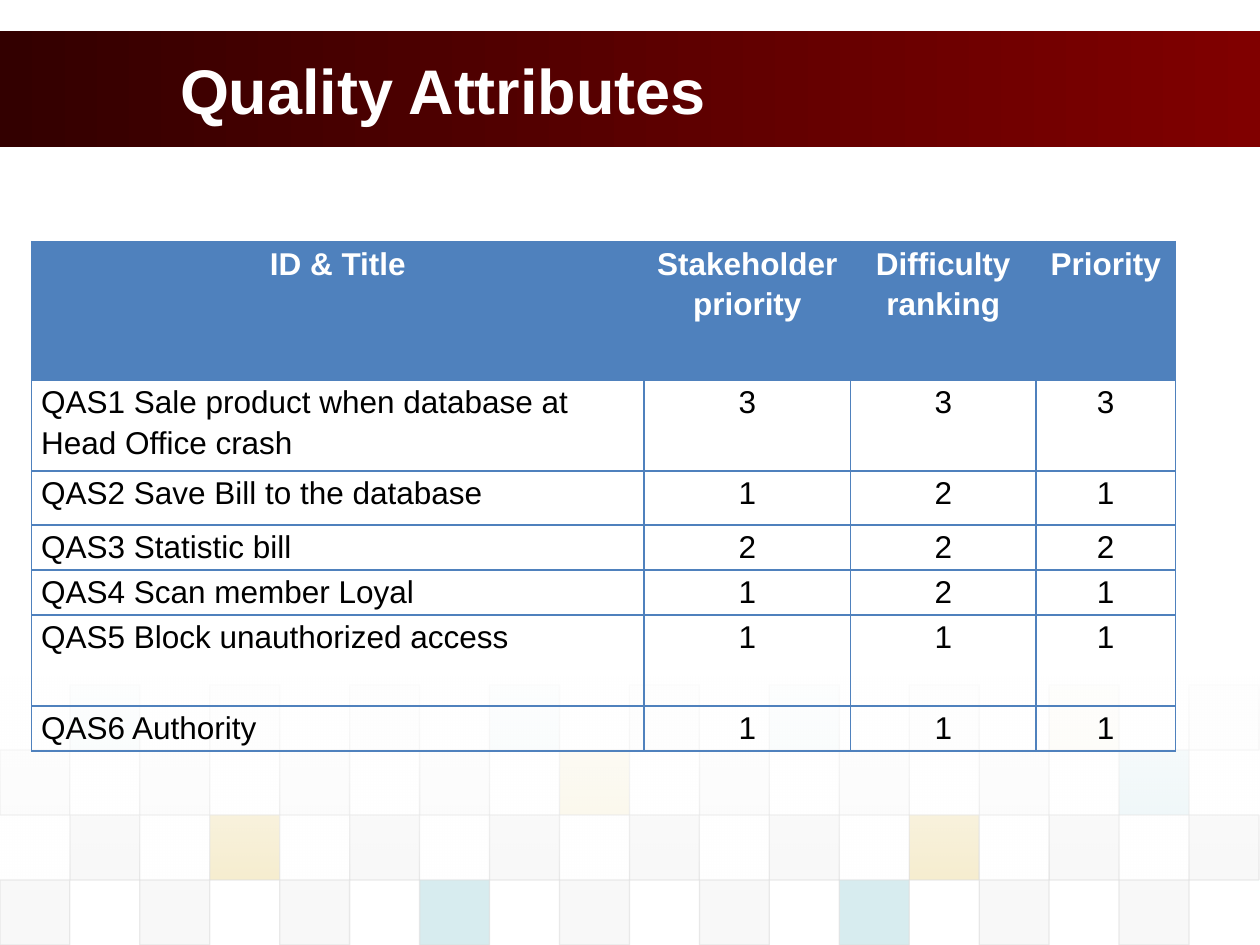
from lxml import etree
from pptx import Presentation
from pptx.dml.color import RGBColor
from pptx.enum.shapes import MSO_SHAPE
from pptx.enum.text import MSO_ANCHOR, PP_ALIGN
from pptx.oxml.ns import qn
from pptx.util import Cm, Pt

RECT = MSO_SHAPE.RECTANGLE
MIDDLE = MSO_ANCHOR.MIDDLE
LEFT, CENTER = PP_ALIGN.LEFT, PP_ALIGN.CENTER

WHITE = RGBColor(0xFF, 0xFF, 0xFF)
BLACK = RGBColor(0x00, 0x00, 0x00)
DARK_RED = RGBColor(0x33, 0x00, 0x00)
RED = RGBColor(0x80, 0x00, 0x00)
BLUE = RGBColor(0x4F, 0x81, 0xBD)
GREY = RGBColor(0xDD, 0xDD, 0xDD)
PALE = RGBColor(0xEA, 0xEA, 0xEA)
GOLD = RGBColor(0xD3, 0xA9, 0x11)
TEAL = RGBColor(0x38, 0xA3, 0xB2)

# Tile pattern: first column, opacity, colours of every second column
TILE_WIDTH, TILE_HEIGHT, TILE_TOP = 1.41, 1.31, 13.81
TILE_ROWS = [
    (1, 5, [TEAL, PALE, PALE, TEAL, GREY, TEAL, PALE, GOLD, PALE]),
    (0, 10, [GREY, GREY, GREY, GREY, GOLD, GREY, GREY, GREY, TEAL]),
    (1, 20, [GREY, GOLD, GREY, GREY, GREY, GREY, GOLD, GREY, GREY]),
    (0, 20, [GREY, GREY, GREY, TEAL, GREY, GREY, TEAL, GREY, GREY]),
]

COLUMN_WIDTHS = [12.34, 4.17, 3.73, 2.82]
ROW_HEIGHTS = [2.79, 1.83, 1.09, 0.91, 0.91, 1.83, 0.91]
RATINGS = [
    ("ID & Title", "Stakeholder priority", "Difficulty ranking", "Priority"),
    ("QAS1 Sale product when database at Head Office crash", "3", "3", "3"),
    ("QAS2 Save Bill to the database", "1", "2", "1"),
    ("QAS3 Statistic bill", "2", "2", "2"),
    ("QAS4 Scan member Loyal", "1", "2", "1"),
    ("QAS5 Block unauthorized access", "1", "1", "1"),
    ("QAS6 Authority", "1", "1", "1"),
]


class SlideBuilder:
    font_name = "Arial"
    cell_inset = Cm(0.19)

    def __init__(self, page):
        self.page = page

    def rectangle(self, left, top, width, height):
        shape = self.page.shapes.add_shape(
            RECT, Cm(left), Cm(top), Cm(width), Cm(height))
        shape.shadow.inherit = False
        shape.line.fill.background()
        return shape

    def set_opacity(self, shape, percents):
        """Set the opacity of the shape's colours in document order."""
        colors = shape._element.spPr.iter(qn("a:srgbClr"))
        for color, percent in zip(colors, percents):
            etree.SubElement(color, qn("a:alpha"), val=str(percent * 1000))

    def gradient(self, left, top, width, height, colors, angle=0):
        shape = self.rectangle(left, top, width, height)
        shape.fill.gradient()
        shape.fill.gradient_angle = angle
        for stop, color, position in zip(shape.fill.gradient_stops, colors, (0, 1)):
            stop.color.rgb = color
            stop.position = position
        return shape

    def tile(self, column, row, color, opacity):
        shape = self.rectangle(column * TILE_WIDTH, TILE_TOP + row * TILE_HEIGHT,
                               TILE_WIDTH, TILE_HEIGHT)
        shape.fill.solid()
        shape.fill.fore_color.rgb = color
        shape.line.color.rgb = GREY
        shape.line.width = Pt(0.75)
        self.set_opacity(shape, (opacity, 60))

    def style(self, para, size, color, bold):
        font = para.font
        font.name, font.size, font.bold = self.font_name, Pt(size), bold
        font.color.rgb = color

    def title(self, text, left, top, width, height):
        box = self.page.shapes.add_textbox(Cm(left), Cm(top), Cm(width), Cm(height))
        frame = box.text_frame
        frame.word_wrap = True
        frame.vertical_anchor = MIDDLE
        frame.text = text
        self.style(frame.paragraphs[0], 36, WHITE, True)

    def borders(self, cell):
        properties = cell._tc.get_or_add_tcPr()
        for side in ("lnL", "lnR", "lnT", "lnB"):
            line = etree.SubElement(properties, qn(f"a:{side}"), w=str(Pt(1)))
            fill = etree.SubElement(line, qn("a:solidFill"))
            etree.SubElement(fill, qn("a:srgbClr"), val=str(BLUE))

    def cell(self, cell, text, header, align):
        self.borders(cell)
        if header:
            cell.fill.solid()
            cell.fill.fore_color.rgb = BLUE
        else:
            cell.fill.background()
        cell.margin_left = cell.margin_right = self.cell_inset
        cell.margin_top = cell.margin_bottom = 0
        cell.text = text
        para = cell.text_frame.paragraphs[0]
        para.alignment = align
        para.line_spacing = 1.15
        self.style(para, 18, WHITE if header else BLACK, header)

    def table(self, left, top, widths, heights, rows):
        table = self.page.shapes.add_table(
            len(rows), len(widths), Cm(left), Cm(top),
            Cm(sum(widths)), Cm(sum(heights))).table
        table.first_row = table.horz_banding = False
        for column, width in zip(table.columns, widths):
            column.width = Cm(width)
        for row, height in zip(table.rows, heights):
            row.height = Cm(height)
        for r, texts in enumerate(rows):
            for c, text in enumerate(texts):
                align = LEFT if r > 0 and c == 0 else CENTER
                self.cell(table.cell(r, c), text, r == 0, align)


def main():
    deck = Presentation()
    deck.slide_width, deck.slide_height = Cm(25.4), Cm(19.05)
    builder = SlideBuilder(deck.slides.add_slide(deck.slide_layouts[6]))

    # Title band
    builder.gradient(0, 0.63, 25.4, 2.34, (DARK_RED, RED))

    # Tiles, fading out towards the top
    for row, (first, opacity, colors) in enumerate(TILE_ROWS):
        for index, color in enumerate(colors):
            builder.tile(first + 2 * index, row, color, opacity)
    fade = builder.gradient(0, 13.64, 25.4, 4.11, (WHITE, WHITE), 270)
    builder.set_opacity(fade, (90, 0))

    # Title and ratings
    builder.title("Quality Attributes", 3.38, 0.63, 20.52, 2.34)
    builder.table(0.64, 4.87, COLUMN_WIDTHS, ROW_HEIGHTS, RATINGS)

    deck.save("out.pptx")


if __name__ == "__main__":
    main()
